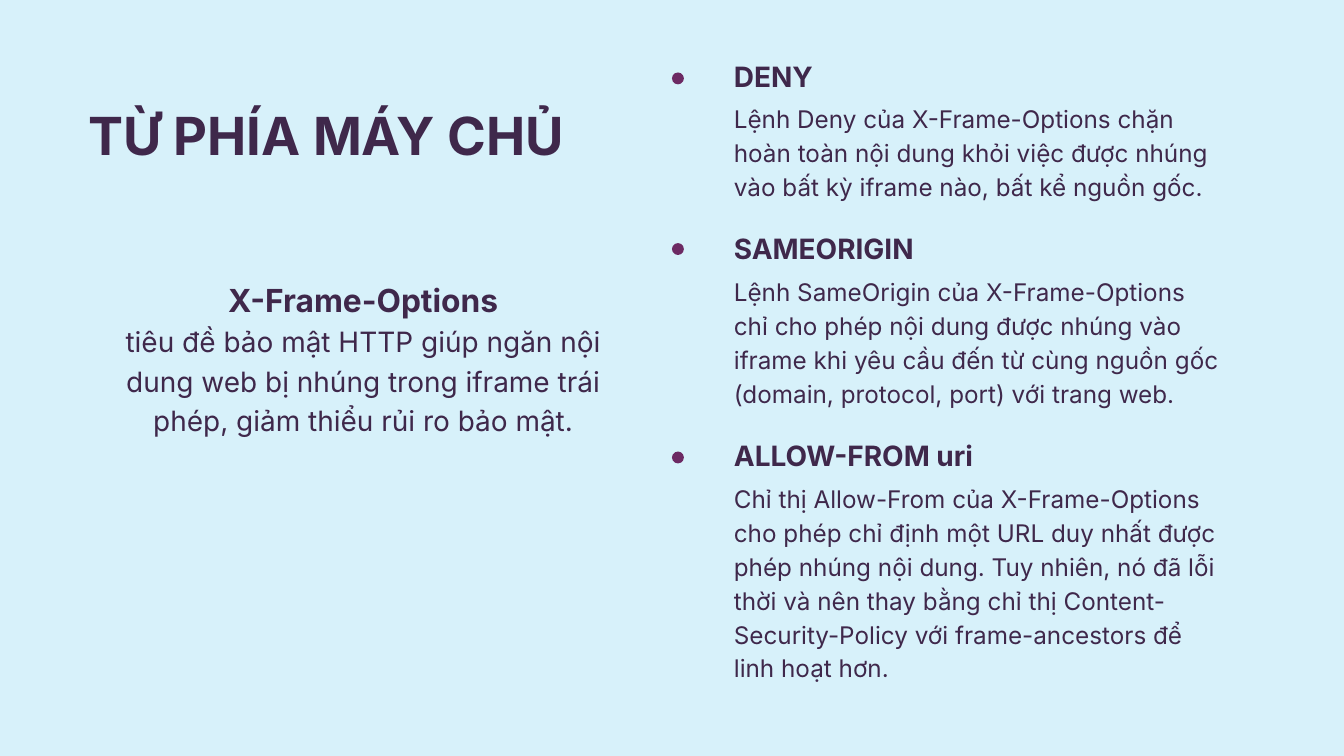
from pptx import Presentation
from pptx.dml.color import RGBColor
from pptx.enum.shapes import MSO_SHAPE
from pptx.enum.text import MSO_AUTO_SIZE, PP_ALIGN
from pptx.util import Cm, Pt

COLORS = {"background": "D7F1FA", "text": "3F284B", "dot": "6C2A63"}
FONT = "Inter"

presentation = Presentation()
presentation.slide_width = Cm(50.8)
presentation.slide_height = Cm(28.58)
slide = presentation.slides.add_slide(presentation.slide_layouts[6])
slide.background.fill.solid()
slide.background.fill.fore_color.rgb = RGBColor.from_string(COLORS["background"])


def add_text(left, top, width, height, lines, align=PP_ALIGN.LEFT):
    """Add a text box; each line is (text, size, line spacing, bold)."""
    text_frame = slide.shapes.add_textbox(Cm(left), Cm(top), Cm(width), Cm(height)).text_frame
    text_frame.word_wrap = True
    text_frame.auto_size = MSO_AUTO_SIZE.SHAPE_TO_FIT_TEXT
    text_frame.margin_left = text_frame.margin_right = 0
    text_frame.margin_top = text_frame.margin_bottom = 0
    text_frame.text = "\n".join(line[0] for line in lines)
    for paragraph, (_, size, spacing, bold) in zip(text_frame.paragraphs, lines):
        paragraph.alignment = align
        paragraph.line_spacing = Pt(spacing)
        for run in paragraph.runs:
            run.font.name = FONT
            run.font.size = Pt(size)
            run.font.bold = bold
            run.font.color.rgb = RGBColor.from_string(COLORS["text"])


# Directives: top of heading, top of dot, heading, description, lines of description
directives = [
    (2.03, 2.74, "DENY",
     "Lệnh Deny của X-Frame-Options chặn hoàn toàn nội dung khỏi việc được nhúng "
     "vào bất kỳ iframe nào, bất kể nguồn gốc.", 3),
    (8.56, 9.19, "SAMEORIGIN",
     "Lệnh SameOrigin của X-Frame-Options chỉ cho phép nội dung được nhúng vào "
     "iframe khi yêu cầu đến từ cùng nguồn gốc (domain, protocol, port) với trang web.", 4),
    (16.38, 17.07, "ALLOW-FROM uri",
     "Chỉ thị Allow-From của X-Frame-Options cho phép chỉ định một URL duy nhất được "
     "phép nhúng nội dung. Tuy nhiên, nó đã lỗi thời và nên thay bằng chỉ thị "
     "Content-Security-Policy với frame-ancestors để linh hoạt hơn.", 6),
]
for top, dot_top, heading, description, line_count in directives:
    add_text(27.74, top, 18.47, 1.37, [(heading, 30, 42, True)])
    add_text(27.74, top + 1.73, 18.47, 1.27 * line_count - 0.08,
             [(description, 26, 36.4, False)])
    dot = slide.shapes.add_shape(MSO_SHAPE.OVAL, Cm(25.4), Cm(dot_top), Cm(0.45), Cm(0.45))
    dot.shadow.inherit = False
    dot.fill.solid()
    dot.fill.fore_color.rgb = RGBColor.from_string(COLORS["dot"])
    dot.line.fill.background()

# Title
add_text(3.33, 4.09, 20.22, 2.21, [("TỪ PHÍA MÁY CHỦ", 56.2, 61.9, True)])

# Introduction
add_text(4.6, 10.39, 18.26, 7.59, [
    ("X-Frame-Options", 34, 47.6, True),
    ("tiêu đề bảo mật HTTP giúp ngăn nội dung web bị nhúng trong iframe trái phép, "
     "giảm thiểu rủi ro bảo mật.", 30, 42, False),
], PP_ALIGN.CENTER)

presentation.save("out.pptx")
